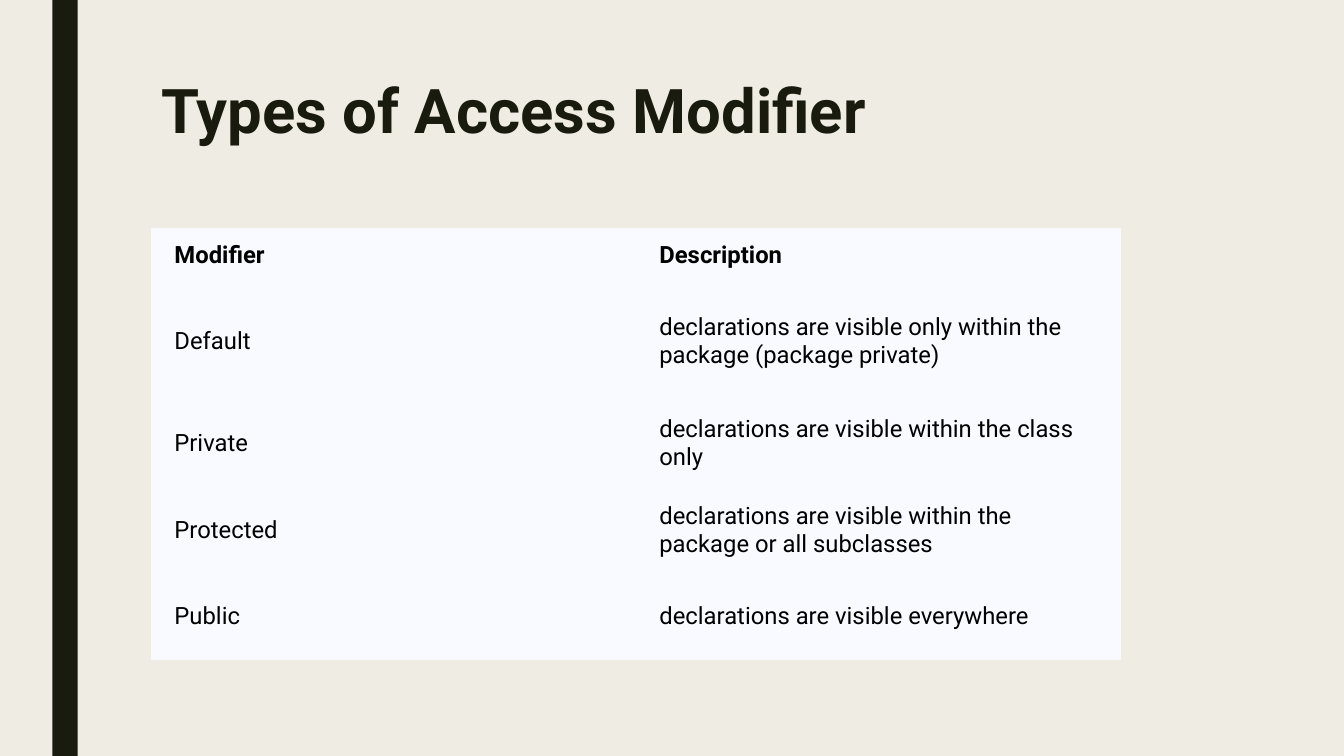
from pptx import Presentation
from pptx import util as u
from pptx.dml.color import RGBColor
from pptx.enum import shapes, text
from pptx.oxml.ns import qn

# Content
TITLE = "Types of Access Modifier"
MODIFIERS = [
    ("Modifier", "Description"),
    ("Default", "declarations are visible only within the package (package private)"),
    ("Private", "declarations are visible within the class only"),
    ("Protected", "declarations are visible within the package or all subclasses"),
    ("Public", "declarations are visible everywhere"),
]

# Theme and layout
THEME = {
    "font": "Roboto",
    "background": "EFEDE3",
    "dark": "191B0E",
    "cell": "F8FAFF",
    "body": "000000",
    "title_size": 44,
    "table_size": 17,
}
ROW_HEIGHTS = [0.55, 1.16, 0.86, 0.86, 0.86]
COLUMN_WIDTH = 4.81
LEFT = 1.5
TABLE_TOP = 2.26
CELL_MARGINS = (0.23, 0.12)
NO_GRID_STYLE = "{2D5ABB26-0587-4C30-8999-92F81FD0307C}"


def paint(fill, color):
    fill.solid()
    fill.fore_color.rgb = RGBColor.from_string(THEME[color])


def write(frame, words, size, color, bold=False, line_spacing=None):
    frame.word_wrap = True
    paragraph = frame.paragraphs[0]
    paragraph.alignment = text.PP_ALIGN.LEFT
    if line_spacing:
        paragraph.line_spacing = line_spacing
    run = paragraph.add_run()
    run.text = words
    run.font.name = THEME["font"]
    run.font.size = u.Pt(THEME[size])
    run.font.bold = bold
    run.font.color.rgb = RGBColor.from_string(THEME[color])


def add_side_bar(slide, height):
    bar = slide.shapes.add_shape(
        shapes.MSO_SHAPE.RECTANGLE, u.Inches(0.52), 0, u.Inches(0.25), height)
    bar.shadow.inherit = False
    paint(bar.fill, "dark")
    bar.line.fill.background()


def add_title(slide):
    box = slide.shapes.add_textbox(
        u.Inches(LEFT), u.Inches(0.75), u.Inches(10.5), u.Inches(1.62))
    box.text_frame.vertical_anchor = text.MSO_ANCHOR.TOP
    write(box.text_frame, TITLE, "title_size", "dark", bold=True, line_spacing=0.89)


def add_modifier_table(slide):
    columns = len(MODIFIERS[0])
    frame = slide.shapes.add_table(
        len(MODIFIERS), columns, u.Inches(LEFT), u.Inches(TABLE_TOP),
        u.Inches(columns * COLUMN_WIDTH), u.Inches(sum(ROW_HEIGHTS)))
    table = frame.table
    table.first_row = table.horz_banding = False
    # Table style without borders
    frame._element.find(".//" + qn("a:tableStyleId")).text = NO_GRID_STYLE

    for column in table.columns:
        column.width = u.Inches(COLUMN_WIDTH)
    for row, height in zip(table.rows, ROW_HEIGHTS):
        row.height = u.Inches(height)

    side, edge = map(u.Inches, CELL_MARGINS)
    for row_index, entries in enumerate(MODIFIERS):
        for column_index, words in enumerate(entries):
            cell = table.cell(row_index, column_index)
            paint(cell.fill, "cell")
            cell.vertical_anchor = text.MSO_ANCHOR.MIDDLE
            cell.margin_left = cell.margin_right = side
            cell.margin_top = cell.margin_bottom = edge
            write(cell.text_frame, words, "table_size", "body", bold=row_index == 0)


def main():
    presentation = Presentation()
    presentation.slide_width = u.Inches(13.33)
    presentation.slide_height = u.Inches(7.5)
    slide = presentation.slides.add_slide(presentation.slide_layouts[6])
    paint(slide.background.fill, "background")
    add_side_bar(slide, presentation.slide_height)
    add_title(slide)
    add_modifier_table(slide)
    presentation.save("out.pptx")


if __name__ == "__main__":
    main()
